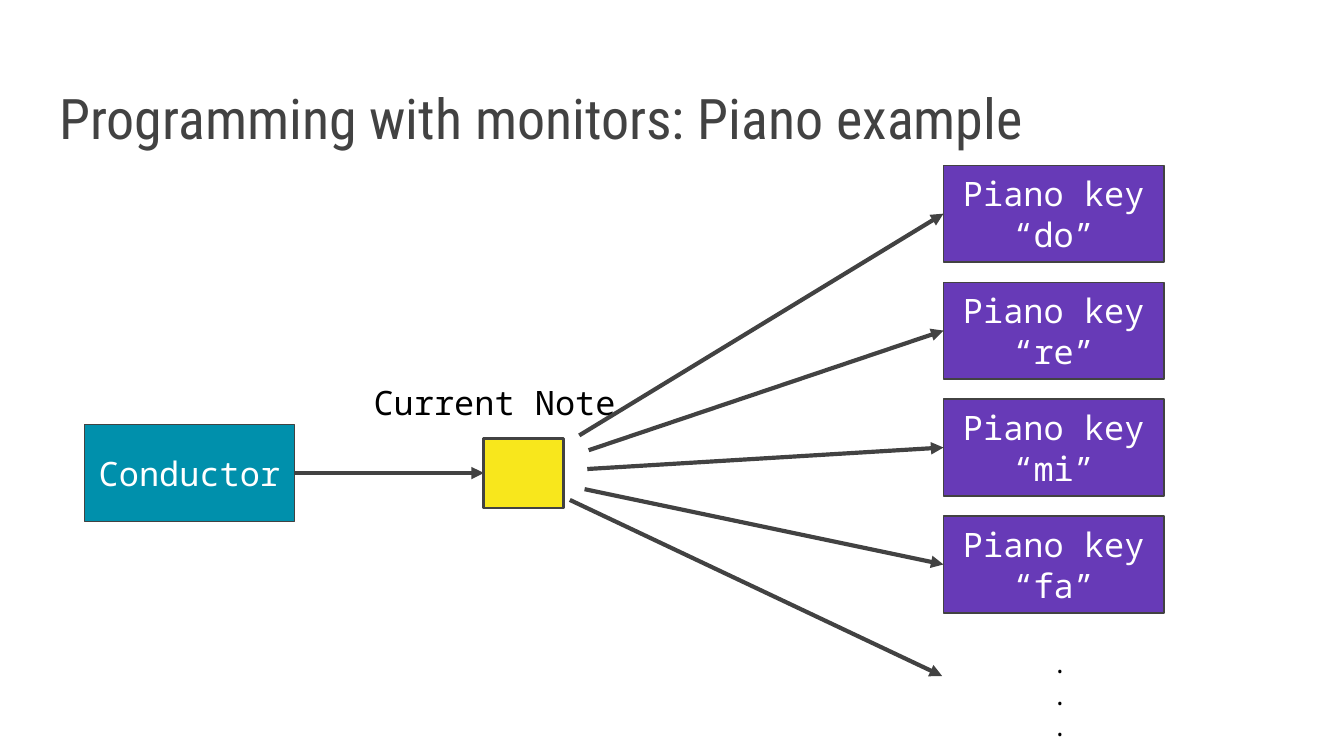
from lxml import etree
from pptx import Presentation
from pptx.dml.color import RGBColor
from pptx.enum import shapes, text
from pptx.oxml.ns import qn
from pptx.util import Inches, Pt

GREY = RGBColor(0x42, 0x42, 0x42)
TEAL = RGBColor(0x00, 0x90, 0xAC)
PURPLE = RGBColor(0x67, 0x3A, 0xB7)
YELLOW = RGBColor(0xF8, 0xE7, 0x1C)
WHITE = RGBColor(0xFF, 0xFF, 0xFF)
BLACK = RGBColor(0x00, 0x00, 0x00)


def write(shape, lines, size=18, font="Noto Sans Mono", color=BLACK,
          align=text.PP_ALIGN.CENTER, anchor=text.MSO_ANCHOR.TOP):
    frame = shape.text_frame
    frame.text = lines
    frame.word_wrap = True
    frame.auto_size = text.MSO_AUTO_SIZE.NONE
    frame.vertical_anchor = anchor
    frame.margin_left = frame.margin_right = Inches(0.1)
    frame.margin_top = frame.margin_bottom = Inches(0.1)
    for paragraph in frame.paragraphs:
        paragraph.alignment = align
        paragraph.line_spacing = 1.0
        paragraph.font.size = Pt(size)
        paragraph.font.name = font
        paragraph.font.color.rgb = color


def add_box(left, top, width, height, fill, line_width=0.75, label=""):
    box = slide.shapes.add_shape(shapes.MSO_SHAPE.RECTANGLE, Inches(left), Inches(top),
                                 Inches(width), Inches(height))
    box.shadow.inherit = False
    box.fill.solid()
    box.fill.fore_color.rgb = fill
    box.line.color.rgb = GREY
    box.line.width = Pt(line_width)
    if label:
        write(box, label, color=WHITE, anchor=text.MSO_ANCHOR.MIDDLE)
    return box


prs = Presentation()
prs.slide_width = Inches(10)
prs.slide_height = Inches(10 * 9 / 16)
slide = prs.slides.add_slide(prs.slide_layouts[5])

title = slide.shapes.title
title.left, title.top = Inches(0.34), Inches(0.42)
title.width, title.height = Inches(9.32), Inches(0.8)
write(title, "Programming with monitors: Piano example", size=30, font="Roboto Condensed",
      color=GREY, align=text.PP_ALIGN.LEFT, anchor=text.MSO_ANCHOR.BOTTOM)

conductor = add_box(0.63, 3.16, 1.56, 0.72, TEAL, label="Conductor")
piano_keys = [add_box(7.02, 1.23 + 0.87 * row, 1.64, 0.72, PURPLE, label=f"Piano key “{note}”")
              for row, note in enumerate(["do", "re", "mi", "fa"])]

note_caption = slide.shapes.add_textbox(Inches(2.2), Inches(2.74), Inches(2.96), Inches(0.59))
write(note_caption, "Current Note")
current_note = add_box(3.6, 3.26, 0.59, 0.52, YELLOW, line_width=1.5)

# Each arrow: start point, end point, box it leaves, box it reaches
arrows = [((2.19, 3.52), (3.6, 3.52), conductor, current_note)]
key_starts = [(4.31, 3.24), (4.38, 3.35), (4.37, 3.49), (4.35, 3.64)]
for row, (start, key) in enumerate(zip(key_starts, piano_keys)):
    arrows.append((start, (7.02, 1.59 + 0.87 * row), None, key))
arrows.append(((4.24, 3.72), (7.01, 5.03), None, None))

for start, end, source, target in arrows:
    arrow = slide.shapes.add_connector(shapes.MSO_CONNECTOR.STRAIGHT,
                                       *map(Inches, start + end))
    if source:
        arrow.begin_connect(source, 3)
    if target:
        arrow.end_connect(target, 1)
    arrow.line.color.rgb = GREY
    arrow.line.width = Pt(2.25)
    line_xml = arrow._element.spPr.find(qn("a:ln"))
    etree.SubElement(line_xml, qn("a:tailEnd"), type="triangle")
    etree.SubElement(arrow._element.spPr, qn("a:effectLst"))

more_keys = slide.shapes.add_textbox(Inches(7.73), Inches(4.72), Inches(0.44), Inches(0.91))
write(more_keys, ".\n.\n.", size=14, align=text.PP_ALIGN.LEFT)

prs.save("out.pptx")
